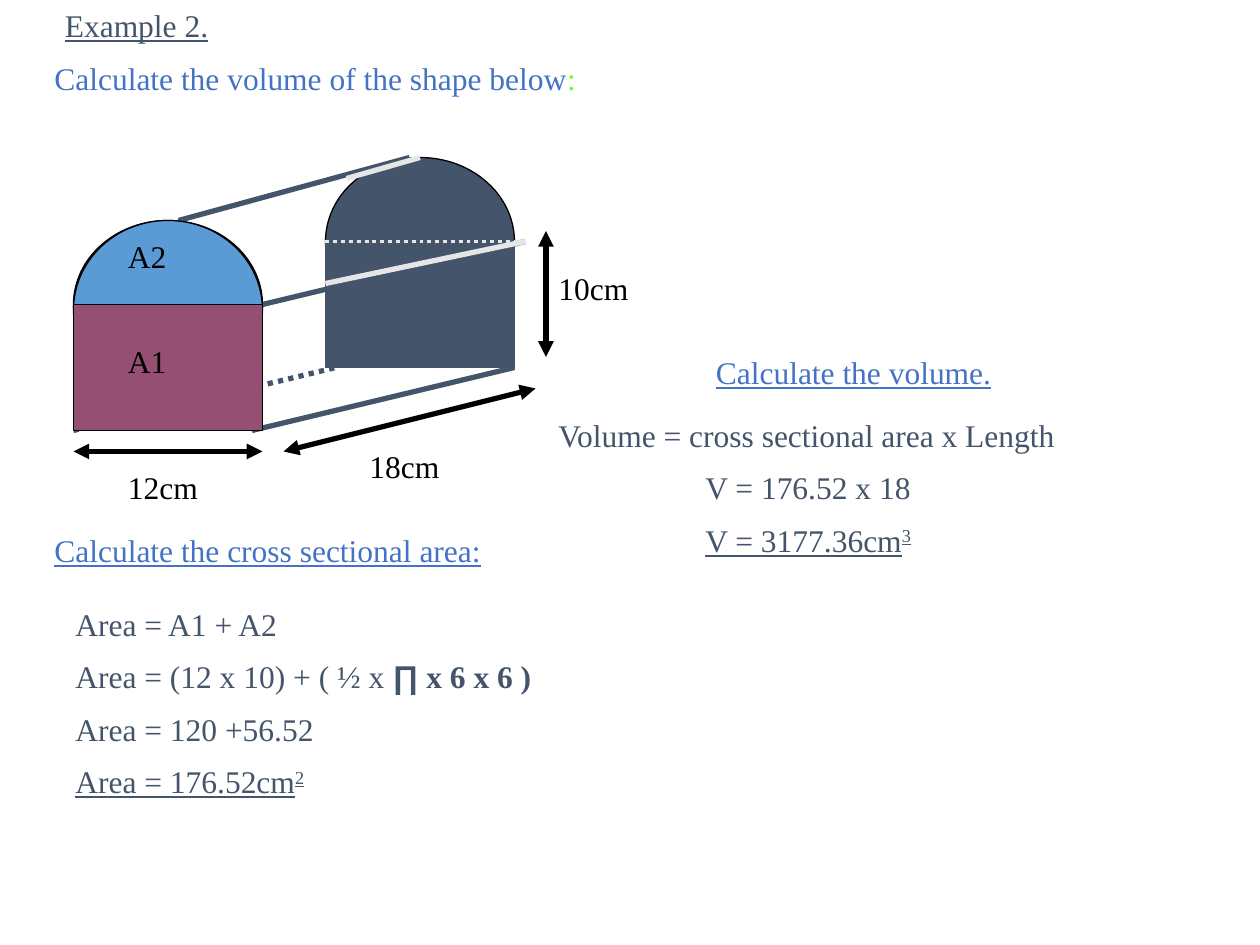
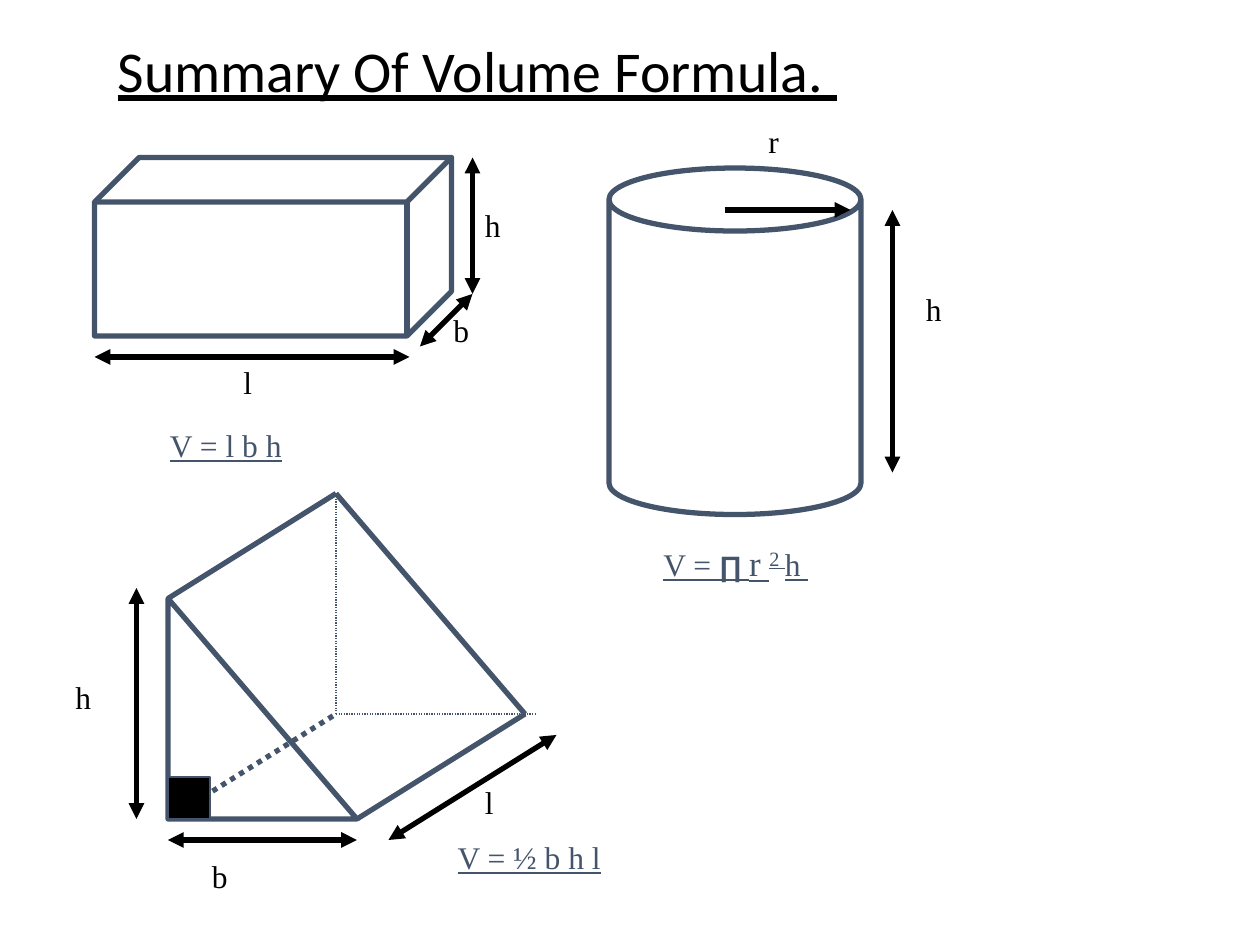
from typing import NamedTuple

from lxml.etree import SubElement
from pptx import Presentation
from pptx.dml.color import RGBColor
from pptx.enum.dml import MSO_LINE
from pptx.enum.shapes import MSO_CONNECTOR, MSO_SHAPE
from pptx.enum.text import MSO_ANCHOR, MSO_AUTO_SIZE, PP_ALIGN
from pptx.oxml.ns import qn
from pptx.util import Inches, Pt

BLACK = RGBColor(0x00, 0x00, 0x00)
SLATE = RGBColor(0x44, 0x54, 0x6A)
PALE = RGBColor(0xE7, 0xE6, 0xE6)
BLUE = RGBColor(0x44, 0x72, 0xC4)
SKY = RGBColor(0x5B, 0x9B, 0xD5)
PLUM = RGBColor(0x95, 0x4F, 0x72)
GREEN = RGBColor(0x66, 0xFF, 0x33)

SERIF, SANS, TITLE_FONT = "Times New Roman", "Arial", "Calibri"
THICK, THIN, DOT = 3, 0.75, 2.25
TEXT_ROWS = 4.8
TITLE_ONLY, BLANK = 5, 6


class Run(NamedTuple):
    text: str
    color: RGBColor | None = None
    font: str = SERIF
    size: float = 18
    bold: bool = False
    raised: bool = False


class MathsSlides:
    """Draws on a grid of 120 columns by 90 rows, 12 to the inch."""

    def __init__(self):
        self.presentation = Presentation()
        self.presentation.slide_width = Inches(10)
        self.presentation.slide_height = Inches(7.5)
        self.slide = None

    def grid(self, *cells):
        return [Inches(cell / 12) for cell in cells]

    def new_slide(self, layout):
        self.slide = self.presentation.slides.add_slide(
            self.presentation.slide_layouts[layout])

    def title(self, text, box):
        title = self.slide.shapes.title
        title.left, title.top, title.width, title.height = self.grid(*box)
        frame = title.text_frame
        frame.auto_size = MSO_AUTO_SIZE.NONE
        frame.vertical_anchor = MSO_ANCHOR.MIDDLE
        paragraph = frame.paragraphs[0]
        paragraph.alignment = PP_ALIGN.LEFT
        paragraph.line_spacing = 0.9
        self.add_run(paragraph, Run(text, BLACK, TITLE_FONT, 33), BLACK, True)

    def add_run(self, paragraph, part, color, underline):
        run = paragraph.add_run()
        run.text = part.text
        font = run.font
        font.name, font.size, font.bold = part.font, Pt(part.size), part.bold
        font.underline = underline
        font.color.rgb = part.color or color
        if part.raised:
            run._r.get_or_add_rPr().set("baseline", "30000")

    def text(self, column, row, columns, *parts, color=SLATE, underline=False):
        """Adds a one-line text box; each part is a string or a Run."""
        box = self.slide.shapes.add_textbox(
            *self.grid(column, row, columns, TEXT_ROWS))
        frame = box.text_frame
        frame.word_wrap = True
        frame.auto_size = MSO_AUTO_SIZE.SHAPE_TO_FIT_TEXT
        for part in parts:
            part = Run(part) if isinstance(part, str) else part
            self.add_run(frame.paragraphs[0], part, color, underline)

    def label(self, column, row, columns, text):
        self.text(column, row, columns, text, color=BLACK)

    def shape(self, kind, box, fill=None, line=SLATE, width=THICK):
        shape = self.slide.shapes.add_shape(kind, *self.grid(*box))
        shape.shadow.inherit = False
        if fill is None:
            shape.fill.background()
        else:
            shape.fill.solid()
            shape.fill.fore_color.rgb = fill
        shape.line.color.rgb = line
        shape.line.width = Pt(width)

    def line(self, start, end, color=SLATE, width=THICK, dotted=False, ends=()):
        connector = self.slide.shapes.add_connector(
            MSO_CONNECTOR.STRAIGHT, *self.grid(*start, *end))
        connector.line.color.rgb = color
        connector.line.width = Pt(width)
        if dotted:
            connector.line.dash_style = MSO_LINE.ROUND_DOT
        outline = connector.line._get_or_add_ln()
        for end_name in ends:
            SubElement(outline, qn(f"a:{end_name}"), type="triangle")
        SubElement(connector._element.spPr, qn("a:effectLst"))

    def dimension(self, start, end):
        self.line(start, end, BLACK, ends=("headEnd", "tailEnd"))


def draw_arched_prism(deck):
    for left, top in ((7, 21), (31, 15)):
        deck.shape(MSO_SHAPE.OVAL, (left, top, 18, 16), SLATE, BLACK, THIN)
    deck.shape(MSO_SHAPE.RECTANGLE, (31, 23, 18, 12), SLATE, SLATE, THIN)
    deck.line((31, 23), (49, 23), PALE, DOT, dotted=True)
    deck.line((24, 41), (49, 35))
    deck.line((25, 29), (50, 23))
    deck.line((31, 27), (50, 23), PALE)
    deck.line((17, 21), (39, 15))
    deck.line((7, 41), (32, 35), dotted=True)
    deck.dimension((7, 43), (25, 43))
    deck.label(11, 44, 14, "12cm")
    deck.dimension((27, 43), (51, 37))
    deck.label(34, 42, 14, "18cm")
    deck.dimension((52, 22), (52, 34))
    deck.label(52, 25, 12, "10cm")
    deck.line((33, 17), (40, 15), PALE)
    deck.shape(MSO_SHAPE.OVAL, (7, 21, 18, 17), SKY, BLACK, THIN)
    deck.label(11, 22, 10, "A2")
    deck.shape(MSO_SHAPE.RECTANGLE, (7, 29, 18, 12), PLUM, BLACK, THIN)
    deck.label(11, 32, 8, "A1")


def build_example(deck):
    deck.new_slide(BLANK)
    deck.text(5, 0, 44, "Example 2.", underline=True)
    deck.text(4, 5, 70, "Calculate the volume of the shape below",
              Run(":", GREEN), color=BLUE)
    draw_arched_prism(deck)

    deck.text(4, 50, 57, "Calculate the cross sectional area:",
              color=BLUE, underline=True)
    area_steps = (
        ("Area = A1 + A2",),
        ("Area = (12 x 10) + ( ½ x ", Run("∏", font=SANS, bold=True),
         Run(" x 6 x 6 )", bold=True)),
        ("Area = 120 +56.52",),
        ("Area = 176.52cm", Run("2", raised=True)),
    )
    for step, parts in enumerate(area_steps):
        deck.text(6, 57 + 5 * step, 61, *parts,
                  underline=step == len(area_steps) - 1)

    deck.text(67, 33, 45, "Calculate the volume.", color=BLUE, underline=True)
    deck.text(52, 39, 68, "Volume = cross sectional area x Length")
    deck.text(66, 44, 46, "V = 176.52 x 18")
    deck.text(66, 49, 37, "V = 3177.36cm", Run("3", raised=True),
              underline=True)


def draw_cuboid(deck):
    deck.shape(MSO_SHAPE.CUBE, (9, 15, 34, 17))
    deck.label(22, 34, 9, "l")
    deck.label(42, 29, 6, "b")
    deck.label(45, 19, 6, "h")
    deck.dimension((9, 34), (39, 34))
    deck.dimension((40, 33), (45, 28))
    deck.dimension((45, 28), (45, 15))
    deck.text(15, 40, 21, "V = l b h", underline=True)


def draw_cylinder(deck):
    deck.shape(MSO_SHAPE.CAN, (58, 16, 24, 33))
    deck.line((69, 20), (81, 20), BLACK, ends=("tailEnd",))
    deck.label(72, 11, 7, "r")
    deck.dimension((85, 20), (85, 45))
    deck.label(87, 27, 8, "h")
    deck.text(62, 51, 18, "V = ", Run("∏", font=SANS, size=16, bold=True),
              Run(" ", size=16, bold=True), Run("r ", size=20),
              Run("2 ", size=20, raised=True), "h ", underline=True)


def draw_triangular_prism(deck):
    deck.shape(MSO_SHAPE.RIGHT_TRIANGLE, (16, 57, 18, 21))
    front_top, front_right, front_corner = (16, 57), (34, 78), (16, 78)
    back_top, back_right, back_corner = (32, 47), (50, 68), (32, 68)
    deck.line(front_top, back_top)
    deck.line(front_right, back_right)
    deck.line(front_corner, back_corner, dotted=True)
    deck.line(back_top, back_corner, width=THIN, dotted=True)
    deck.line(back_corner, (51, 68), width=THIN, dotted=True)
    deck.line(back_top, back_right)
    deck.shape(MSO_SHAPE.RECTANGLE, (16, 74, 4, 4), BLACK, SLATE, THIN)
    deck.label(19, 81, 11, "b")
    deck.label(45, 74, 11, "l")
    deck.dimension((16, 80), (34, 80))
    deck.dimension((37, 80), (53, 70))
    deck.label(6, 64, 10, "h")
    deck.dimension((13, 56), (13, 78))
    deck.text(42.4, 79.2, 18, "V = ½ b h l", underline=True)


def build_summary(deck):
    deck.new_slide(TITLE_ONLY)
    deck.title("Summary Of Volume Formula. ", (10, 3, 102, 8))
    draw_cuboid(deck)
    draw_cylinder(deck)
    draw_triangular_prism(deck)


def main():
    deck = MathsSlides()
    build_example(deck)
    build_summary(deck)
    deck.presentation.save("out.pptx")


if __name__ == "__main__":
    main()
